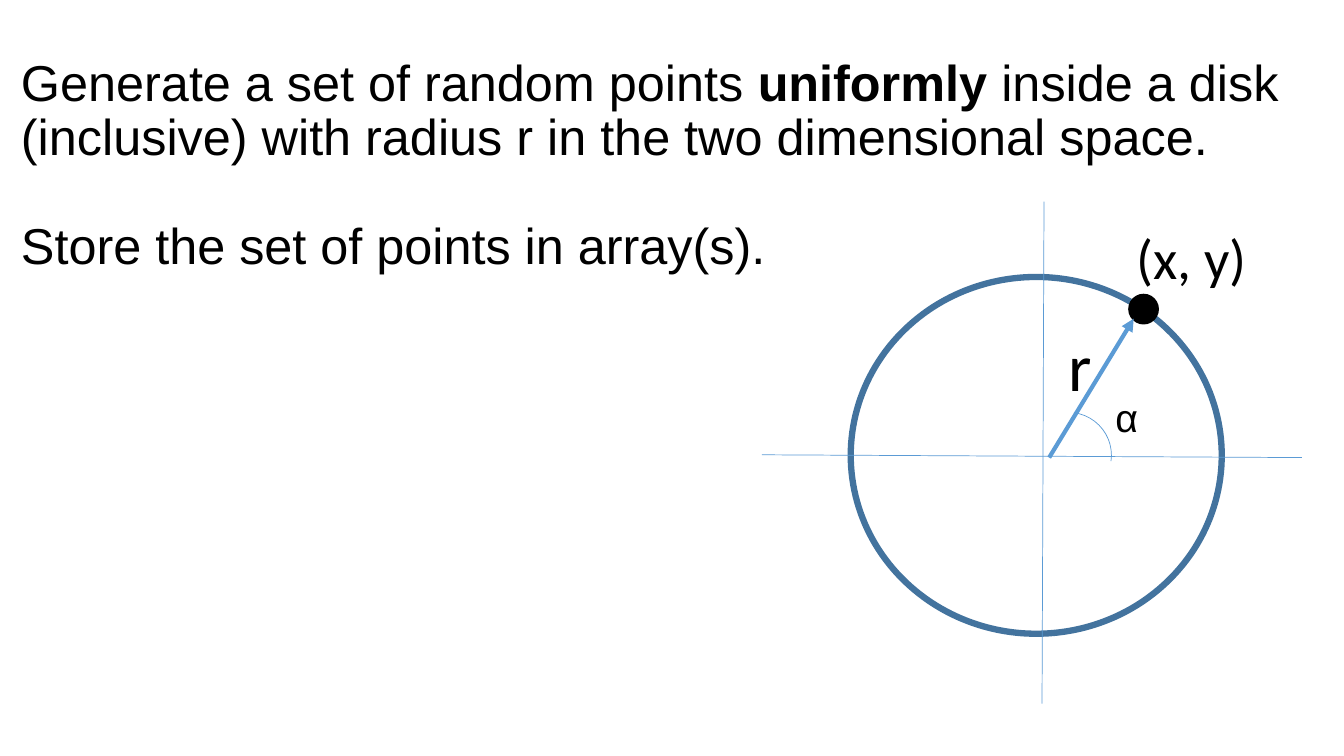
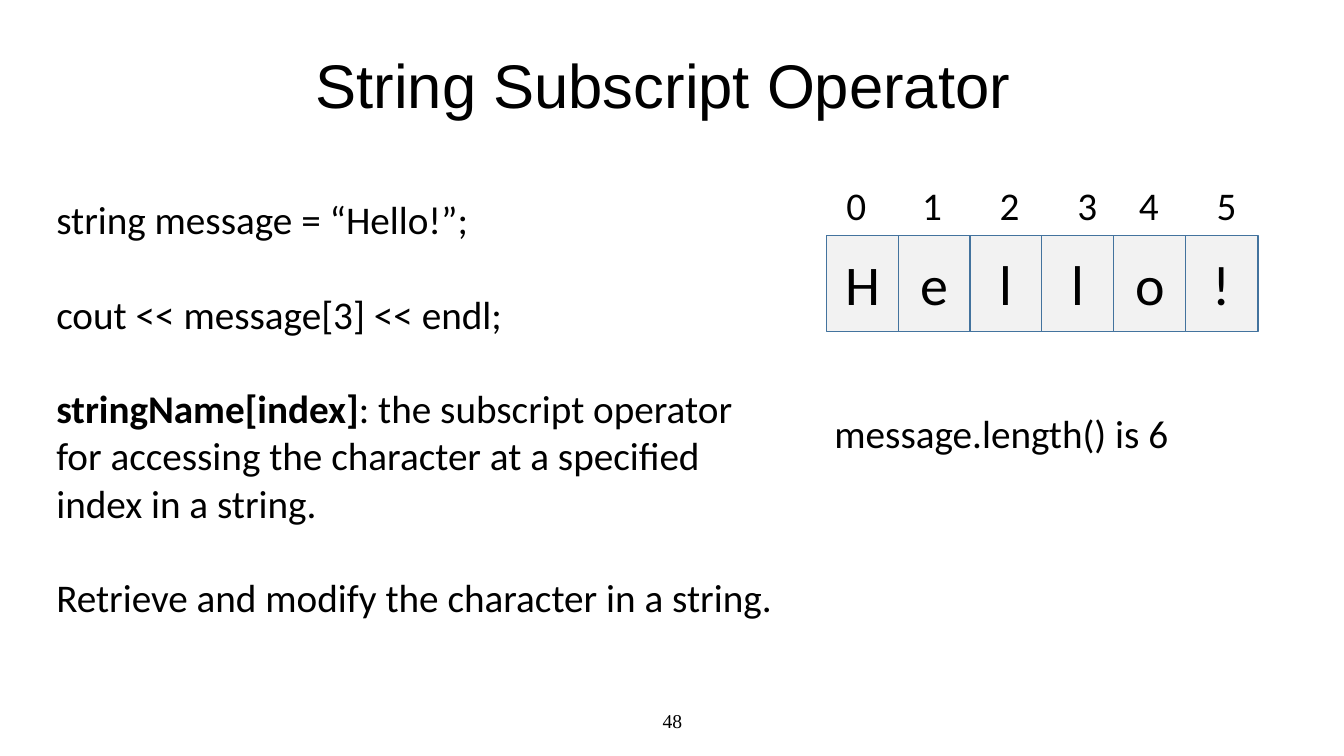
from dataclasses import dataclass
from typing import NamedTuple

from lxml.etree import SubElement
from pptx import Presentation
from pptx.dml.color import RGBColor
from pptx.enum.shapes import MSO_CONNECTOR, MSO_SHAPE
from pptx.enum.text import MSO_ANCHOR, PP_ALIGN
from pptx.oxml.ns import qn
from pptx.util import Cm, Pt


@dataclass(frozen=True)
class Theme:
    """Colours, fonts and type sizes shared by the slides."""
    ink: RGBColor = RGBColor(0x00, 0x00, 0x00)
    outline: RGBColor = RGBColor(0x43, 0x73, 0x9E)
    accent: RGBColor = RGBColor(0x5B, 0x9B, 0xD5)
    cell: RGBColor = RGBColor(0xF2, 0xF2, 0xF2)
    heading_font: str = "Arial"
    body_font: str = "Calibri"
    number_font: str = "Times New Roman"
    number_size: int = 14
    body_size: int = 28
    statement_size: int = 36
    symbol_size: int = 40
    title_size: int = 44
    radius_size: int = 48
    hairline: float = 0.5
    thin: float = 1
    arrow: float = 3
    thick: float = 4.5


class Box(NamedTuple):
    """A rectangle in centimetres."""
    left: float
    top: float
    width: float
    height: float

    def inner(self, left, top, width, height):
        """Return a box placed relative to this one."""
        return Box(self.left + left, self.top + top, width, height)

    def lengths(self):
        """Return the four sides as slide lengths."""
        return [Cm(side) for side in self]


THEME = Theme()
PAGE = Box(0, 0, 33.87, 19.05)


def write(holder, *paragraphs, size=THEME.body_size, font=THEME.body_font,
          align=PP_ALIGN.LEFT, anchor=MSO_ANCHOR.TOP, wrap=True, spacing=None, gap=0):
    """Fill a shape with paragraphs; asterisks enclose bold words."""
    frame = holder.text_frame
    frame.word_wrap = wrap
    frame.vertical_anchor = anchor
    for number, text in enumerate(paragraphs):
        para = frame.add_paragraph() if number else frame.paragraphs[0]
        para.alignment = align
        para.line_spacing = spacing
        para.space_before = Pt(gap if number else 0)
        for position, part in enumerate(text.split("*")):
            span = para.add_run()
            span.text = part
            span.font.name = font
            span.font.size = Pt(size)
            span.font.bold = position % 2 == 1
            span.font.color.rgb = THEME.ink


def add_text(page, box, *paragraphs, **text_format):
    """Add a text box."""
    write(page.shapes.add_textbox(*box.lengths()), *paragraphs, **text_format)


def add_figure(page, kind, box, line, weight, fill=None):
    """Add a preset shape with its outline and optional fill."""
    figure = page.shapes.add_shape(kind, *box.lengths())
    figure.shadow.inherit = False
    figure.line.color.rgb = line
    figure.line.width = Pt(weight)
    if fill is None:
        figure.fill.background()
    else:
        figure.fill.solid()
        figure.fill.fore_color.rgb = fill
    return figure


def add_line(page, box, start, end, weight=THEME.hairline, arrow=False):
    """Join two points given relative to a box."""
    points = [Cm(origin + offset) for point in (start, end)
              for origin, offset in zip((box.left, box.top), point)]
    line = page.shapes.add_connector(MSO_CONNECTOR.STRAIGHT, *points)
    line.line.color.rgb = THEME.accent
    line.line.width = Pt(weight)
    if arrow:
        SubElement(line.line._get_or_add_ln(), qn("a:tailEnd"), type="triangle")
    SubElement(line._element.spPr, qn("a:effectLst"))


def add_heading(page, box, *paragraphs, **text_format):
    """Add a heading in the shared title style."""
    add_text(page, box, *paragraphs, font=THEME.heading_font,
             anchor=MSO_ANCHOR.MIDDLE, spacing=0.9, **text_format)


def draw_disk(page, box):
    """Draw the disk, its axes, the radius and the angle."""
    add_figure(page, MSO_SHAPE.OVAL, box.inner(2.24, 1.9, 9.35, 8.99),
               THEME.outline, THEME.thick)
    add_figure(page, MSO_SHAPE.OVAL, box.inner(9.25, 2.34, 0.74, 0.74),
               THEME.ink, THEME.thin, fill=THEME.ink)
    add_line(page, box, (0, 6.38), (box.width, 6.45))
    add_line(page, box, (7.06, box.height), (7.11, 0))
    add_line(page, box, (7.24, 6.45), (9.37, 2.95), weight=THEME.arrow, arrow=True)
    angle = add_figure(page, MSO_SHAPE.ARC, box.inner(6.63, 5.31, 2.18, 2.16),
                       THEME.accent, THEME.hairline)
    angle.rotation = 7.8
    add_text(page, box.inner(7.49, 2.97, 1.12, 2.31), "r",
             size=THEME.radius_size, wrap=False)
    add_text(page, box.inner(8.66, 4.85, 1.14, 1.35), "α",
             font=THEME.heading_font, spacing=0.9, wrap=False)
    add_text(page, box.inner(9.19, 0.43, 3.33, 1.96), "(x, y)",
             size=THEME.symbol_size, wrap=False)


def draw_characters(page, box, word, index_offsets):
    """Draw one cell for each character, with its index above."""
    index_height, cell_width = 1.45, 1.83
    pitch = (box.width - cell_width) / (len(word) - 1)
    cell_top = 1.5
    for index, (character, offset) in enumerate(zip(word, index_offsets)):
        cell = add_figure(page, MSO_SHAPE.RECTANGLE,
                          box.inner(index * pitch, cell_top, cell_width, box.height - cell_top),
                          THEME.outline, THEME.thin, fill=THEME.cell)
        write(cell, character, size=THEME.symbol_size, align=PP_ALIGN.CENTER,
              anchor=MSO_ANCHOR.MIDDLE)
        add_text(page, box.inner(offset, 0, 1.02, index_height), str(index), wrap=False)


def build_disk_slide(page, box):
    """Build the exercise on random points in a disk."""
    add_heading(page, box.inner(0.28, 2.36, 33.58, 3.68),
                "Generate a set of random points *uniformly* inside a disk (inclusive) "
                "with radius r in the two dimensional space. ",
                "Store the set of points in array(s).",
                size=THEME.statement_size, gap=39)
    draw_disk(page, box.inner(19.2, 5.08, 13.61, 12.65))


def build_subscript_slide(page, box):
    """Build the slide on the string subscript operator."""
    add_text(page, box.inner(11.23, 17.65, 11.43, 1.02), "48", size=THEME.number_size,
             font=THEME.number_font, align=PP_ALIGN.CENTER, anchor=MSO_ANCHOR.MIDDLE)
    add_heading(page, box.inner(0, 1.07, box.width, 2.34), "String Subscript Operator ",
                size=THEME.title_size, align=PP_ALIGN.CENTER)
    add_text(page, box.inner(1.17, 4.8, 18.8, 12.22),
             "string message = “Hello!”;",
             "cout << message[3] << endl;",
             "*stringName[index]*: the subscript operator for accessing the character "
             "at a specified index in a string.",
             "Retrieve and modify the character in a string. ",
             gap=34)
    draw_characters(page, box.inner(20.83, 4.44, 10.87, 3.91), "Hello!",
                    (0.25, 2.16, 4.11, 6.07, 7.62, 9.58))
    add_text(page, box.inner(20.78, 10.19, 9.07, 1.45), "message.length() is 6", wrap=False)


def build_deck():
    """Build and save the deck."""
    deck = Presentation()
    deck.slide_width, deck.slide_height = Cm(PAGE.width), Cm(PAGE.height)
    blank = deck.slide_layouts[6]
    for build in (build_disk_slide, build_subscript_slide):
        build(deck.slides.add_slide(blank), PAGE)
    deck.save("out.pptx")


build_deck()
